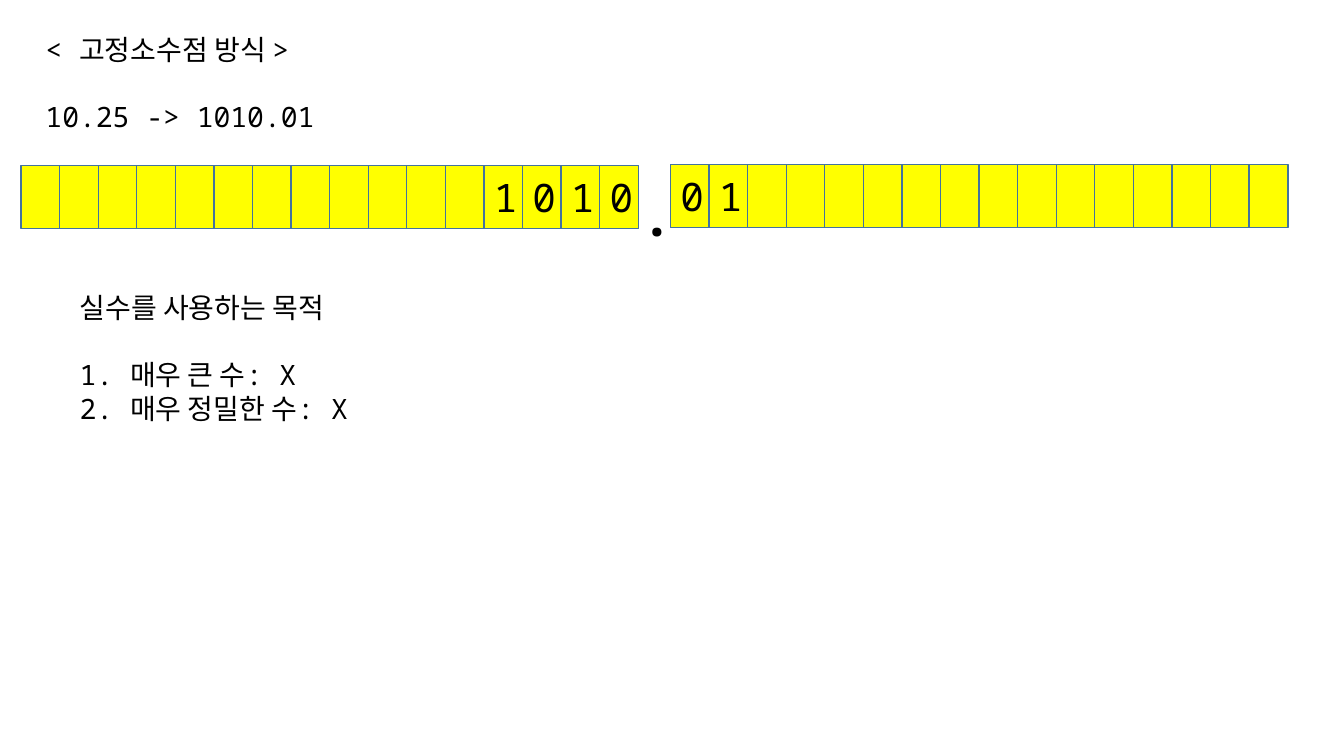
import pptx
import pptx.util
import pptx.dml.color
import pptx.enum.shapes
import pptx.enum.text
from dataclasses import dataclass

Pt = pptx.util.Pt
Color = pptx.dml.color.RGBColor
Align = pptx.enum.text.PP_ALIGN
Anchor = pptx.enum.text.MSO_ANCHOR


@dataclass(frozen=True)
class Theme:
    font: str = "Noto Sans Mono"
    ink: Color = Color.from_string("000000")
    fill: Color = Color.from_string("FFFF00")
    edge: Color = Color.from_string("43739E")
    body: int = 20
    digit: int = 28
    point: int = 36


theme = Theme()
deck = pptx.Presentation()
deck.slide_width = pptx.util.Inches(13.333)
deck.slide_height = pptx.util.Inches(7.5)
slide = deck.slides.add_slide(deck.slide_layouts[5])
shapes = slide.shapes


def grid(left, top, width, height):
    """Turn hundredths of the slide's width and height into lengths."""
    col, row = deck.slide_width / 100, deck.slide_height / 100
    return [round(n) for n in (left * col, top * row, width * col, height * row)]


def write(box, lines, size, bold=False):
    """Fill a box with left-aligned lines, the first set apart by one line."""
    frame = box.text_frame
    frame.word_wrap = False
    frame.auto_size = pptx.enum.text.MSO_AUTO_SIZE.SHAPE_TO_FIT_TEXT
    frame.vertical_anchor = Anchor.TOP
    frame.text = "\n".join(lines)
    leading = Pt(round(size * 1.21))
    for index, para in enumerate(frame.paragraphs):
        para.alignment = Align.LEFT
        para.line_spacing = leading
        para.space_before = leading if index == 1 else Pt(0)
        para.font.name = theme.font
        para.font.size = Pt(size)
        para.font.bold = bold
        para.font.color.rgb = theme.ink


# Heading and example
title = shapes.title
title.left, title.top, title.width, title.height = grid(2.63, 3.6, 22.05, 14.8)
write(title, ["< 고정소수점 방식 >", "10.25 -> 1010.01"], theme.body)

# Whole and fraction bits
bits = 16
step = 2.87
halves = [(1.57, 21.87, "1010".rjust(bits)), (49.89, 21.73, "01".ljust(bits))]
for left, top, digits in halves:
    for index, digit in enumerate(digits):
        cell = shapes.add_shape(
            pptx.enum.shapes.MSO_SHAPE.RECTANGLE,
            *grid(left + index * step, top, 2.9, 8.4))
        cell.shadow.inherit = False
        cell.fill.solid()
        cell.fill.fore_color.rgb = theme.fill
        cell.line.color.rgb = theme.edge
        cell.line.width = Pt(1)
        if digit != " ":
            frame = cell.text_frame
            frame.text = digit
            frame.vertical_anchor = Anchor.MIDDLE
            para = frame.paragraphs[0]
            para.alignment = Align.CENTER
            para.font.name = theme.font
            para.font.size = Pt(theme.digit)
            para.font.color.rgb = theme.ink

# Point between the halves
point = shapes.add_textbox(*grid(47.03, 23.87, 3.6, 9.47))
write(point, ["."], theme.point, bold=True)

# Goals of real numbers
goals = shapes.add_textbox(*grid(5.18, 37.73, 23.4, 19.33))
write(goals, ["실수를 사용하는 목적", "1. 매우 큰 수: X", "2. 매우 정밀한 수: X"], theme.body)

deck.save("out.pptx")
